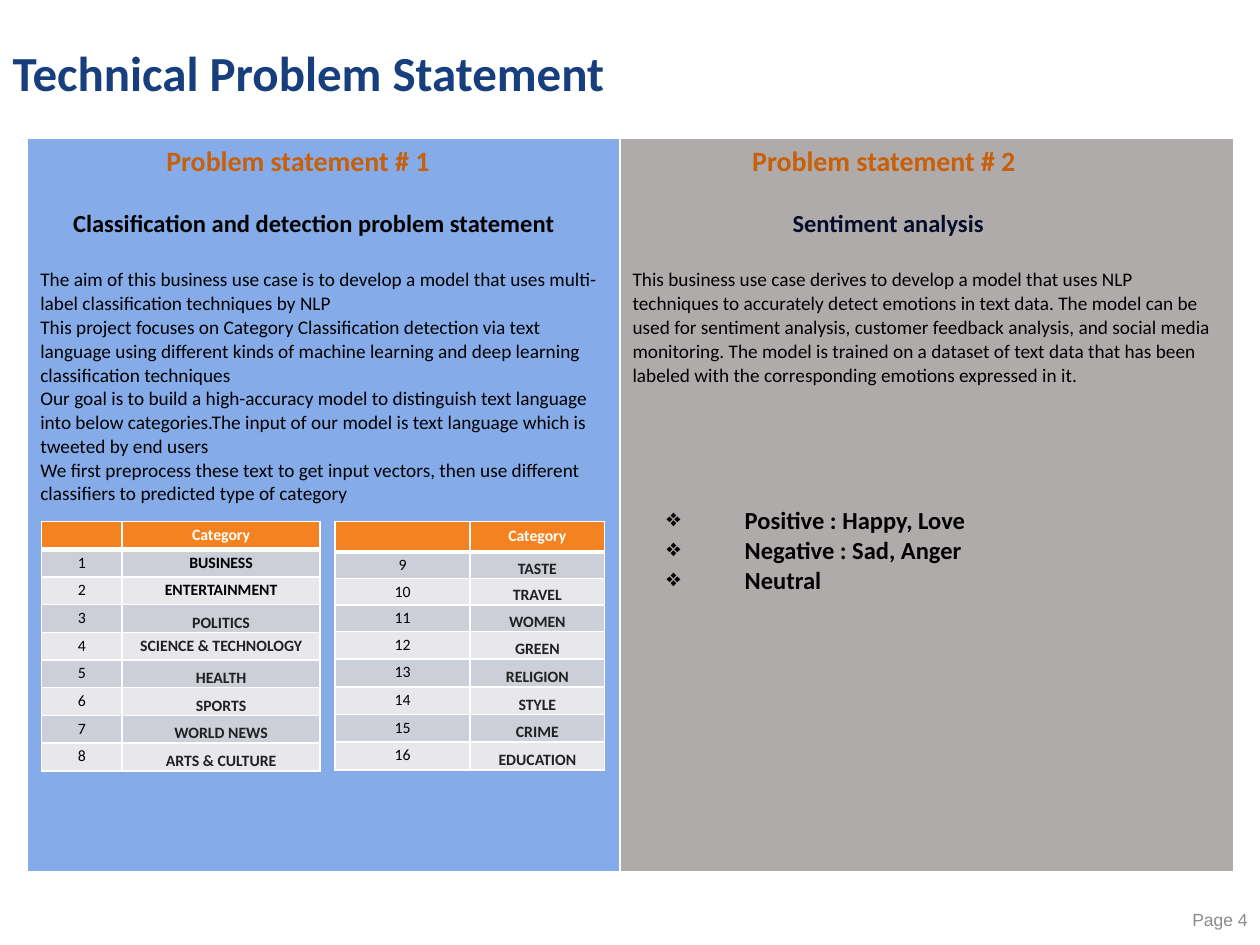
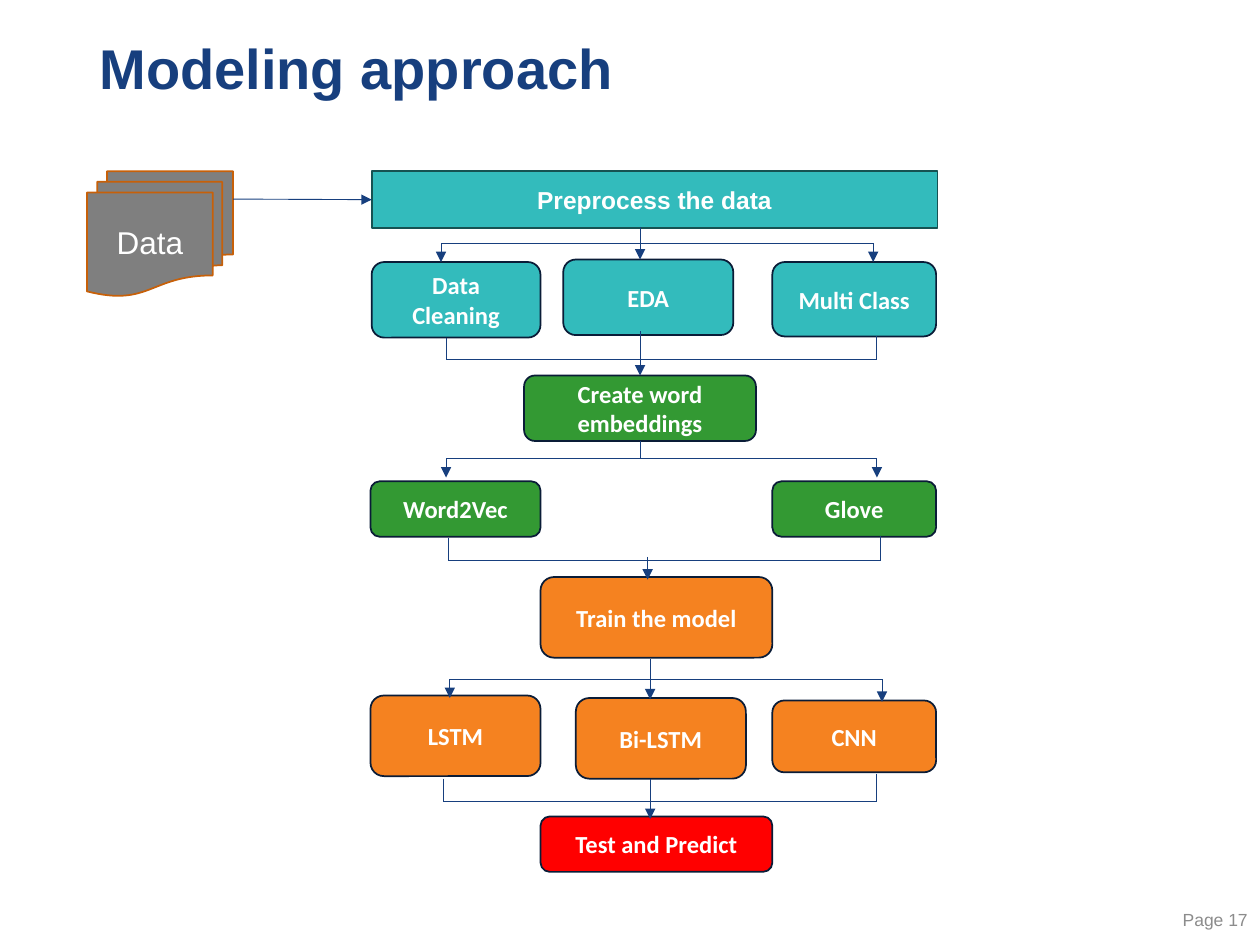
from lxml import etree
from pptx import Presentation
from pptx.dml.color import RGBColor
from pptx.enum.shapes import MSO_CONNECTOR, MSO_SHAPE as SHAPE
from pptx.enum.text import MSO_ANCHOR as ANCHOR, MSO_AUTO_SIZE, PP_ALIGN as ALIGN
from pptx.oxml.ns import qn
from pptx.util import Inches, Pt

COLORS = {
    "navy": "173F7E", "gray": "8C8C8C", "white": "FFFFFF", "black": "000000",
    "rust": "C76009", "ink": "040C28", "sky": "85ACE9", "stone": "AFABAB",
    "orange": "F58220", "band_dark": "CCCFD8", "band_light": "E8E8EC",
    "charcoal": "212121", "teal": "33BBBC", "teal_edge": "165252",
    "edge": "0A1C37", "green": "339933", "red": "FF0000", "data": "7F7F7F",
}
BLANK_LINE = 17
AIMS = [
    "The aim of this business use case is to develop a model that uses multi-label "
    "classification techniques by NLP",
    "This project focuses on Category Classification detection via text language using "
    "different kinds of machine learning and deep learning classification techniques",
    "Our goal is to build a high-accuracy model to distinguish text language into below "
    "categories.The input of our model is text language which is tweeted by end users",
    "We first preprocess these text to get input vectors, then use different classifiers "
    "to predicted type of category",
]
SENTIMENT = (
    "This business use case derives to develop a model that uses NLP techniques to "
    "accurately detect emotions in text data. The model can be used for sentiment analysis, "
    "customer feedback analysis, and social media monitoring. The model is trained on a "
    "dataset of text data that has been labeled with the corresponding emotions expressed in it."
)
MOODS = ["Positive : Happy, Love", "Negative : Sad, Anger", "Neutral"]
CATEGORIES = [
    "BUSINESS", "ENTERTAINMENT", "POLITICS", "SCIENCE & TECHNOLOGY",
    "HEALTH", "SPORTS", "WORLD NEWS", "ARTS & CULTURE",
    "TASTE", "TRAVEL", "WOMEN", "GREEN", "RELIGION", "STYLE", "CRIME", "EDUCATION",
]


def rgb(name):
    return RGBColor.from_string(COLORS[name])


def style(para, size, color, bold=False, font="Calibri", align=ALIGN.LEFT):
    para.alignment = align
    para.font.size = Pt(size)
    para.font.name = font
    para.font.bold = bold
    para.font.color.rgb = rgb(color)


def paint(shape, fill, line):
    shape.shadow.inherit = False
    shape.fill.solid()
    shape.fill.fore_color.rgb = rgb(fill)
    shape.line.color.rgb = rgb(line)
    shape.line.width = Pt(1)


def add_page(deck, title, left, top, size, font, number):
    page = deck.slides.add_slide(deck.slide_layouts[5])
    heading = page.shapes.title
    heading.left, heading.top = Inches(left), Inches(top)
    heading.width, heading.height = Inches(7.22), Inches(0.6)
    frame = heading.text_frame
    frame.text = title
    frame.auto_size = MSO_AUTO_SIZE.NONE
    frame.vertical_anchor = ANCHOR.MIDDLE
    frame.paragraphs[0].line_spacing = 0.9
    style(frame.paragraphs[0], size, "navy", True, font)

    footer = page.shapes.add_textbox(Inches(8.75), Inches(7.1), Inches(1.25), Inches(0.4))
    frame = footer.text_frame
    frame.word_wrap = True
    frame.vertical_anchor = ANCHOR.MIDDLE
    frame.text = f"Page {number}"
    style(frame.paragraphs[0], 10, "gray", font="Arial", align=ALIGN.RIGHT)
    return page


def add_grid(page, left, top, widths, heights):
    frame = page.shapes.add_table(
        len(heights), len(widths), Inches(left), Inches(top),
        Inches(sum(widths)), Inches(sum(heights)))
    for column, width in zip(frame.table.columns, widths):
        column.width = Inches(width)
    for row, height in zip(frame.table.rows, heights):
        row.height = Inches(height)
    return frame.table


def format_cell(cell, fill, bottom=1):
    props = cell._tc.get_or_add_tcPr()
    for side, points in (("L", 1), ("R", 1), ("T", 1), ("B", bottom)):
        border = etree.SubElement(props, qn(f"a:ln{side}"), w=str(Pt(points)))
        solid = etree.SubElement(border, qn("a:solidFill"))
        etree.SubElement(solid, qn("a:srgbClr"), val=COLORS["white"])
    cell.fill.solid()
    cell.fill.fore_color.rgb = rgb(fill)


def pad_cell(cell, across, down):
    cell.margin_left = cell.margin_right = Inches(across)
    cell.margin_top = cell.margin_bottom = Inches(down)


def add_para(frame, text, size, color, bold=False, indent=0, before=0, bullet=False):
    first = not frame.text
    para = frame.paragraphs[0] if first else frame.add_paragraph()
    para.text = text
    props = para._p.get_or_add_pPr()
    props.set("marL", str(Inches(indent)))
    props.set("indent", str(Inches(-0.62 if bullet else 0)))
    if bullet:
        etree.SubElement(props, qn("a:buChar"), char="❖")
    if before:
        para.space_before = Pt(before)
    style(para, size, color, bold)


def add_problem(cell, fill, number, indents, topic, topic_color, body):
    format_cell(cell, fill, bottom=3)
    frame = cell.text_frame
    add_para(frame, f"Problem statement # {number}", 16, "rust", True, indents[0])
    add_para(frame, topic, 14, topic_color, True, indents[1], BLANK_LINE)
    for index, text in enumerate(body):
        add_para(frame, text, 11, "black", before=0 if index else BLANK_LINE)
    return frame


def fill_header(cell, text, pad):
    format_cell(cell, "orange", bottom=3)
    pad_cell(cell, 0.07, pad)
    para = cell.text_frame.paragraphs[0]
    para.text = text
    style(para, 9, "white", True, align=ALIGN.CENTER)
    if not text:
        etree.SubElement(para._p, qn("a:endParaRPr"), sz="900")


def add_categories(page, left, widths, heights, start, header_pad):
    table = add_grid(page, left, 4.14, widths, heights)
    for column, text in enumerate(["", "Category"]):
        fill_header(table.cell(0, column), text, header_pad)
    for row in range(1, len(heights)):
        number = start + row - 1
        name = CATEGORIES[number - 1]
        plain = number <= 2
        for column, text in enumerate([str(number), name]):
            cell = table.cell(row, column)
            format_cell(cell, "band_dark" if row % 2 else "band_light")
            cell.text = text
            tight = column == 1 and not plain
            pad_cell(cell, *((0, 0) if tight else (0.07, 0.03)))
            if tight:
                middle = name == "SCIENCE & TECHNOLOGY"
                cell.vertical_anchor = ANCHOR.MIDDLE if middle else ANCHOR.BOTTOM
            style(cell.text_frame.paragraphs[0], 9, "charcoal" if tight else "black",
                  column == 1, align=ALIGN.CENTER)


def add_step(page, text, left, top, width, height, fill, kind=SHAPE.ROUNDED_RECTANGLE,
             line="edge", size=14, font="Calibri", bold=True):
    box = page.shapes.add_shape(kind, Inches(left), Inches(top), Inches(width), Inches(height))
    paint(box, fill, line)
    box.text_frame.text = text
    box.text_frame.word_wrap = True
    box.text_frame.vertical_anchor = ANCHOR.MIDDLE
    style(box.text_frame.paragraphs[0], size, "white", bold, font, ALIGN.CENTER)
    return box


def add_line(page, x1, y1, x2, y2, arrow=False):
    link = page.shapes.add_connector(
        MSO_CONNECTOR.STRAIGHT, Inches(x1), Inches(y1), Inches(x2), Inches(y2))
    link.line.color.rgb = rgb("navy")
    link.line.width = Pt(0.5)
    if arrow:
        etree.SubElement(link.line._get_or_add_ln(), qn("a:tailEnd"), type="triangle")
    etree.SubElement(link._element.spPr, qn("a:effectLst"))
    return link


def add_fork(page, y, left, right, left_end, right_end):
    add_line(page, left, y, right, y)
    for x, end in ((left, left_end), (right, right_end)):
        add_line(page, x, y, x, end, arrow=True)


def add_merge(page, y, left, right, left_start, right_start):
    add_line(page, left, y, right, y)
    for x, start in ((left, left_start), (right, right_start)):
        add_line(page, x, start, x, y)


def build_problem_page(deck):
    page = add_page(deck, "Technical Problem Statement", 0, 0.3, 28, "Calibri", 4)
    panels = add_grid(page, 0.22, 1.1, [4.7, 4.87], [5.83])
    add_problem(panels.cell(0, 0), "sky", 1, (1, 0.26),
                "Classification and detection problem statement", "black", AIMS)
    frame = add_problem(panels.cell(0, 1), "stone", 2, (0.95, 1.27),
                        "Sentiment analysis", "ink", [SENTIMENT])
    for index, mood in enumerate(MOODS):
        add_para(frame, mood, 14, "black", True, 0.89,
                 0 if index else 4 * BLANK_LINE, bullet=True)
    add_categories(page, 0.33, [0.64, 1.57], [0.22] * 9, 1, 0.03)
    add_categories(page, 2.66, [1.07, 1.07], [0.24] + [0.21] * 3 + [0.22] * 5, 9, 0.04)


def build_modeling_page(deck):
    page = add_page(deck, "Modeling approach", 0.69, 0.27, 32, "Arial", 17)
    add_step(page, "Data", 0.69, 1.36, 1.16, 0.99, "data", SHAPE.FLOWCHART_MULTIDOCUMENT,
             "rust", 18, "Arial", False)
    preprocess = add_step(page, "Preprocess the data", 2.95, 1.36, 4.49, 0.45, "teal",
                          SHAPE.RECTANGLE, "teal_edge", font="Arial")
    add_step(page, "Data Cleaning", 2.95, 2.08, 1.34, 0.6, "teal")
    add_step(page, "EDA", 4.47, 2.06, 1.35, 0.6, "teal")
    add_step(page, "Multi Class", 6.13, 2.08, 1.3, 0.59, "teal")
    embeddings = add_step(page, "Create word embeddings", 4.16, 2.98, 1.84, 0.52, "green")
    add_step(page, "Word2Vec", 2.94, 3.82, 1.35, 0.44, "green")
    add_step(page, "Glove", 6.13, 3.82, 1.3, 0.44, "green")
    add_step(page, "Train the model", 4.29, 4.58, 1.84, 0.64, "orange")
    add_step(page, "LSTM", 2.94, 5.52, 1.35, 0.64, "orange")
    add_step(page, "Bi-LSTM", 4.57, 5.54, 1.35, 0.64, "orange")
    add_step(page, "CNN", 6.13, 5.56, 1.3, 0.57, "orange")
    add_step(page, "Test and Predict", 4.29, 6.48, 1.84, 0.44, "red")

    add_line(page, 1.85, 1.58, 2.95, 1.58, arrow=True).end_connect(preprocess, 1)
    add_line(page, 5.08, 1.8, 5.08, 2.06, arrow=True)
    add_fork(page, 1.93, 3.5, 6.93, 2.08, 2.08)
    add_merge(page, 2.85, 3.54, 6.96, 2.68, 2.67)
    add_line(page, 5.08, 2.63, 5.08, 2.98, arrow=True).end_connect(embeddings, 0)
    add_line(page, 5.08, 3.5, 5.08, 3.64).begin_connect(embeddings, 2)
    add_fork(page, 3.64, 3.54, 6.96, 3.79, 3.79)
    add_merge(page, 4.45, 3.56, 6.99, 4.27, 4.25)
    add_line(page, 5.14, 4.42, 5.14, 4.6, arrow=True)
    add_fork(page, 5.39, 3.57, 7, 5.54, 5.57)
    add_line(page, 5.16, 5.23, 5.16, 5.55, arrow=True)
    add_merge(page, 6.36, 3.52, 6.96, 6.18, 6.14)
    add_line(page, 5.16, 6.18, 5.16, 6.5, arrow=True)


def main():
    deck = Presentation()
    deck.slide_width, deck.slide_height = Inches(10), Inches(7.5)
    build_problem_page(deck)
    build_modeling_page(deck)
    deck.save("out.pptx")


if __name__ == "__main__":
    main()
